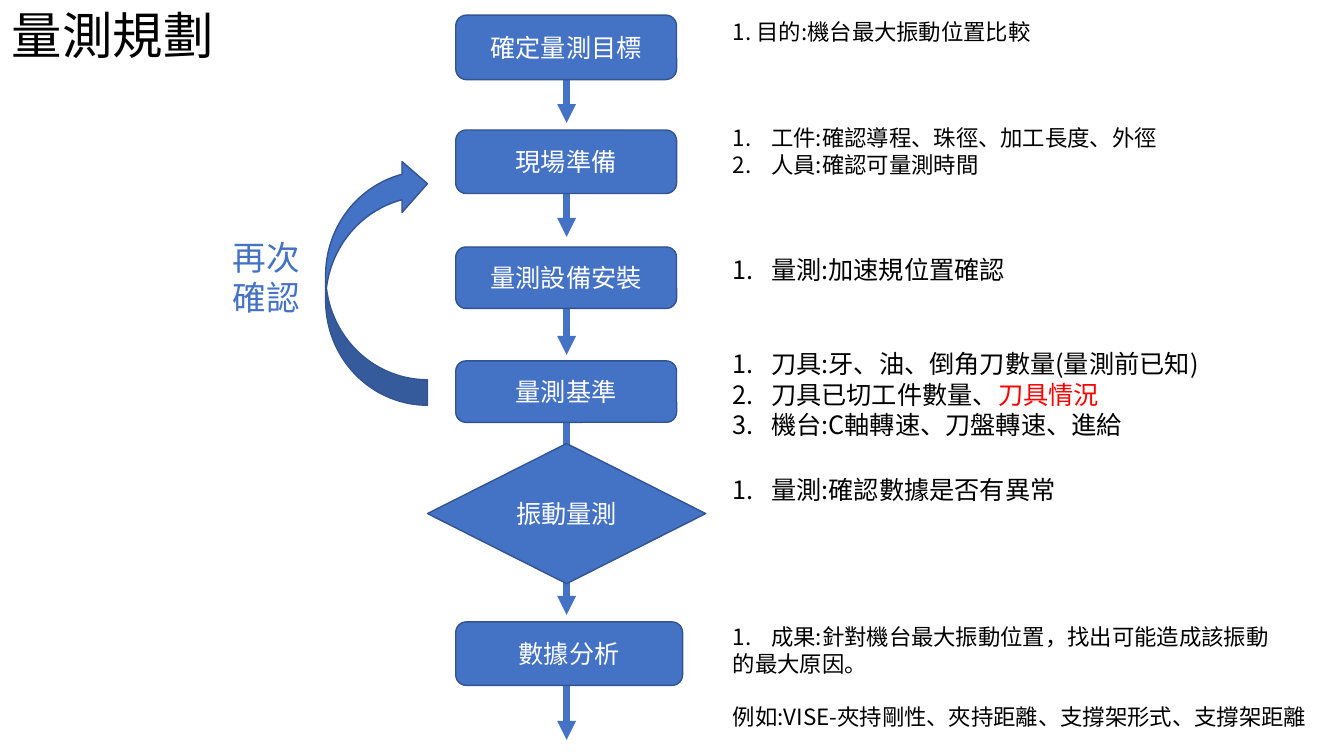
"""Build the measurement planning flowchart slide."""
from pptx import Presentation
from pptx.dml.color import RGBColor
from pptx.enum.shapes import MSO_CONNECTOR, MSO_SHAPE
from pptx.enum.text import MSO_ANCHOR, MSO_AUTO_SIZE, PP_ALIGN
from pptx.oxml.ns import qn
from pptx.util import Inches, Pt
from lxml.etree import SubElement

FONT = "Noto Sans CJK SC"
BLUE = RGBColor(0x44, 0x72, 0xC4)
DARK_BLUE = RGBColor(0x32, 0x54, 0x91)
BLACK = RGBColor(0, 0, 0)
WHITE = RGBColor(0xFF, 0xFF, 0xFF)
RED = RGBColor(0xFF, 0, 0)
AXIS = 5.62
NOTES_LEFT = 7.17


def style_text(para, size, color):
    for span in para.runs:
        span.font.size = Pt(size)
        span.font.name = FONT
        span.font.color.rgb = color
        SubElement(span.font._element, qn("a:ea"), typeface=FONT)


def add_block(kind, left, top, width, height, label=""):
    block = page.shapes.add_shape(
        kind, Inches(left), Inches(top), Inches(width), Inches(height))
    block.shadow.inherit = False
    block.fill.solid()
    block.fill.fore_color.rgb = BLUE
    block.line.color.rgb = DARK_BLUE
    block.line.width = Pt(1)
    if label:
        block.text_frame.text = label
        block.text_frame.vertical_anchor = MSO_ANCHOR.MIDDLE
        para = block.text_frame.paragraphs[0]
        para.alignment = PP_ALIGN.CENTER
        style_text(para, 18, WHITE)
    return block


deck = Presentation()
deck.slide_width = Inches(13.33)
deck.slide_height = Inches(7.5)
page = deck.slides.add_slide(deck.slide_layouts[6])

arrows = [(0.79, 1.22), (1.92, 2.35), (3.06, 3.52), (4.2, 4.74), (5.63, 6.1), (6.8, 7.34)]
for start, end in arrows:
    arrow = page.shapes.add_connector(
        MSO_CONNECTOR.STRAIGHT, Inches(AXIS), Inches(start), Inches(AXIS), Inches(end))
    arrow.line.color.rgb = BLUE
    arrow.line.width = Pt(4.5)
    SubElement(arrow.line._get_or_add_ln(), qn("a:tailEnd"), type="triangle")
    SubElement(arrow._element.spPr, qn("a:effectLst"))

steps = [
    ("確定量測目標", 0.15, 2.19, 0.64),
    ("現場準備", 1.29, 2.19, 0.63),
    ("量測設備安裝", 2.45, 2.19, 0.61),
    ("量測基準", 3.58, 2.19, 0.61),
    ("數據分析", 6.17, 2.25, 0.63),
]
for label, top, width, height in steps:
    add_block(MSO_SHAPE.ROUNDED_RECTANGLE, 4.52, top, width, height, label)
add_block(MSO_SHAPE.FLOWCHART_DECISION, 4.24, 4.4, 2.76, 1.39, "振動量測")

loop_arrow = add_block(MSO_SHAPE.CURVED_RIGHT_ARROW, 3.23, 1.57, 1.01, 2.45)
loop_arrow._element.spPr.xfrm.set("flipV", "1")

texts = [
    (0.02, -0.01, 2.22, 0.71, 36, BLACK, False, 0, ["量測規劃"]),
    (2.21, 2.3, 0.88, 0.91, 24, BLUE, False, 0, ["再次", "確認"]),
    (NOTES_LEFT, 0.13, 3.34, 0.37, 16, BLACK, False, 0, ["1. 目的:機台最大振動位置比較"]),
    (NOTES_LEFT, 1.18, 4.51, 0.64, 16, BLACK, True, 2,
     ["工件:確認導程、珠徑、加工長度、外徑", "人員:確認可量測時間"]),
    (NOTES_LEFT, 2.47, 3.14, 0.4, 18, BLACK, True, 1, ["量測:加速規位置確認"]),
    (NOTES_LEFT, 3.41, 5.01, 1.01, 18, BLACK, True, 3,
     ["刀具:牙、油、倒角刀數量(量測前已知)", "刀具已切工件數量、|刀具情況",
      "機台:C軸轉速、刀盤轉速、進給"]),
    (NOTES_LEFT, 4.66, 5.01, 0.4, 18, BLACK, True, 1, ["量測:確認數據是否有異常"]),
    (NOTES_LEFT, 6.13, 6.26, 1.45, 16, BLACK, False, 1,
     ["成果:針對機台最大振動位置，找出可能造成該振動", "的最大原因。",
      "例如:VISE-夾持剛性、夾持距離、支撐架形式、支撐架距離"]),
]
for left, top, width, height, size, color, wraps, numbered, lines in texts:
    box = page.shapes.add_textbox(Inches(left), Inches(top), Inches(width), Inches(height))
    frame = box.text_frame
    frame.word_wrap = wraps
    frame.auto_size = MSO_AUTO_SIZE.SHAPE_TO_FIT_TEXT
    frame.text = "\n".join(lines)
    for index, para in enumerate(frame.paragraphs):
        plain, _, warning = lines[index].partition("|")
        para.text = plain
        if warning:
            para.add_run().text = warning
        style_text(para, size, color)
        if warning:
            para.runs[-1].font.color.rgb = RED
        if index < numbered:
            properties = para._p.get_or_add_pPr()
            properties.set("marL", str(Inches(0.38)))
            properties.set("indent", str(-Inches(0.38)))
            SubElement(properties, qn("a:buFont"), typeface="+mj-lt")
            SubElement(properties, qn("a:buAutoNum"), type="arabicPeriod")
        if plain.startswith("例如"):
            para.space_before = Pt(19.3)

deck.save("out.pptx")
